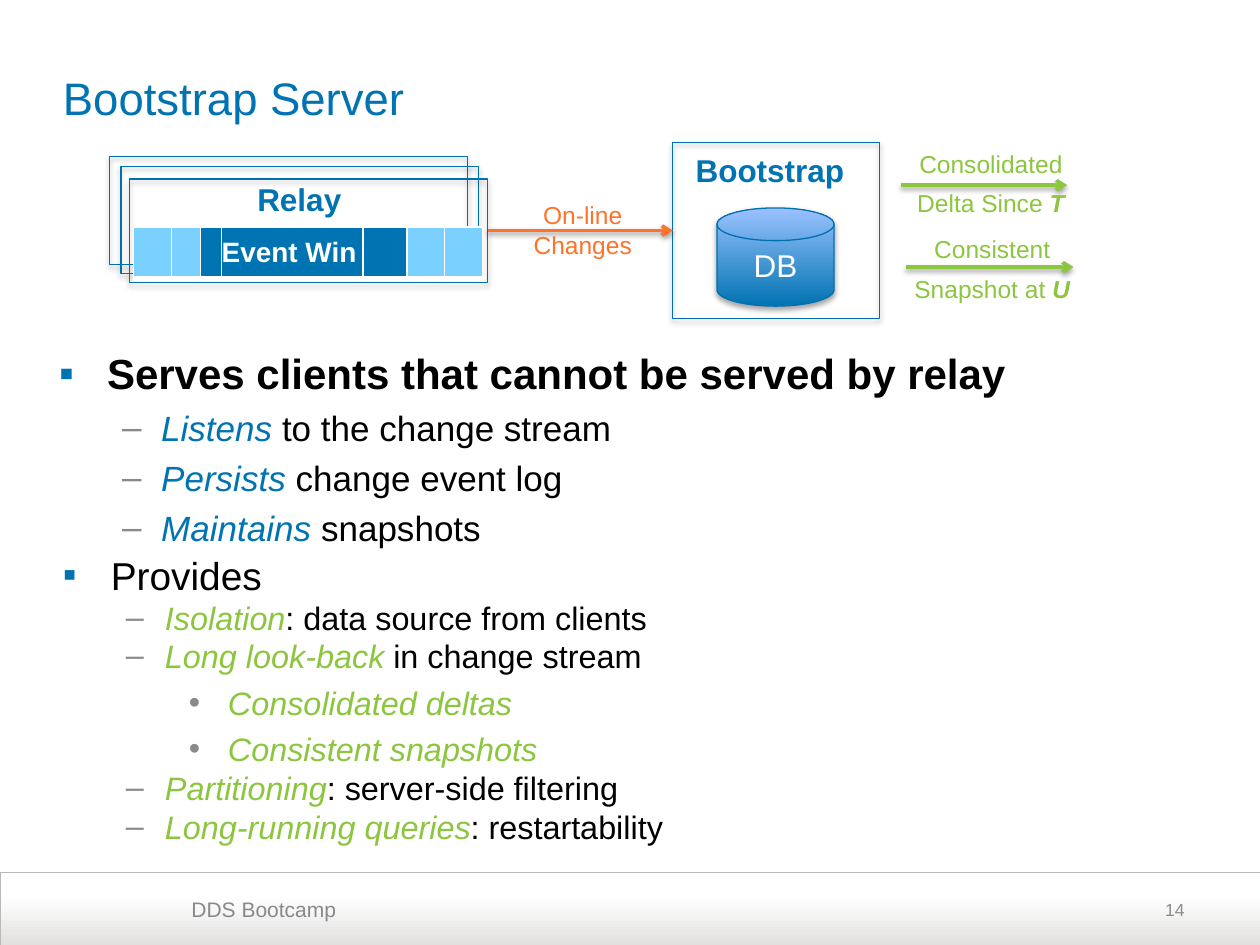
import pptx
import pptx.dml.color
import pptx.enum.shapes
import pptx.enum.text
import pptx.oxml.ns
import pptx.util
from lxml import etree

Inches = pptx.util.Inches
Pt = pptx.util.Pt
Shapes = pptx.enum.shapes.MSO_SHAPE
Align = pptx.enum.text.PP_ALIGN
Anchor = pptx.enum.text.MSO_ANCHOR


class Theme:
    font = "Arial"
    blue, outline, sky, pale_blue = "0073B2", "0070AE", "7AD0FF", "9BC2FF"
    green, orange = "8CC63F", "FE7328"
    black, white = "000000", "FFFFFF"
    gray, number_gray, band_gray, band_line = "88898B", "8C8C8C", "E1E0DF", "B9B9B9"
    title, heading, label, cell, footer, number = 26, 18, 14, 16, 12, 10
    bullets = [("▪", blue, 0.38, 0.38), ("–", gray, 0.81, 0.31), ("•", gray, 1.31, 0.31)]
    space_before = 0.23


def rgb(value):
    return pptx.dml.color.RGBColor.from_string(value)


def add_xml(parent, tag, **attributes):
    return etree.SubElement(parent, pptx.oxml.ns.qn(tag), attributes)


class SlideBuilder:
    def __init__(self, slide, theme):
        self.slide = slide
        self.theme = theme

    def style_font(self, font, size=None, color=None, bold=None, italic=None):
        if size:
            font.size = Pt(size)
            font.name = self.theme.font
        if color:
            font.color.rgb = rgb(color)
        if bold is not None:
            font.bold = bold
        if italic is not None:
            font.italic = italic

    def shadow(self, shape, opacity, distance):
        properties = shape._element.spPr
        effects = properties.find(pptx.oxml.ns.qn("a:effectLst"))
        if effects is None:
            effects = add_xml(properties, "a:effectLst")
        outer = add_xml(effects, "a:outerShdw", blurRad=str(Pt(3.1)), dist=str(Pt(distance)),
                        dir="5400000", rotWithShape="0")
        color = add_xml(outer, "a:srgbClr", val=self.theme.black)
        add_xml(color, "a:alpha", val=str(opacity * 1000))

    def shape(self, kind, box, line, width, gradient=None, shadow=True):
        shape = self.slide.shapes.add_shape(kind, *map(Inches, box))
        shape.shadow.inherit = False
        if gradient:
            shape.fill.gradient()
            shape.fill.gradient_angle = 90
            for stop, (position, color) in zip(shape.fill.gradient_stops, gradient):
                stop.position = position
                stop.color.rgb = rgb(color)
        else:
            shape.fill.background()
        shape.line.color.rgb = rgb(line)
        shape.line.width = Pt(width)
        if shadow:
            self.shadow(shape, 35, 1.8)
        return shape

    def set_lines(self, frame, lines, size, color, align=Align.LEFT, bold=False, space_after=0):
        for index, line in enumerate(lines):
            paragraph = frame.paragraphs[0] if index == 0 else frame.add_paragraph()
            paragraph.alignment = align
            if index < len(lines) - 1:
                paragraph.space_after = Pt(space_after)
            self.style_font(paragraph.font, size, color, bold)
            plain, *emphasis = line if isinstance(line, tuple) else (line,)
            paragraph.add_run().text = plain
            for text in emphasis:
                run = paragraph.add_run()
                run.text = text
                self.style_font(run.font, bold=True, italic=True)

    def text_box(self, box, left=0.0, anchor=Anchor.TOP):
        frame = self.slide.shapes.add_textbox(*map(Inches, box)).text_frame
        frame.word_wrap = True
        frame.margin_left = Inches(left)
        frame.vertical_anchor = anchor
        return frame

    def text(self, box, lines, size, color, align=Align.LEFT, bold=False, space_after=0, **layout):
        self.set_lines(self.text_box(box, **layout), lines, size, color, align, bold, space_after)

    def bullet_list(self, box, items, sizes, emphasis_color, heading_bold=False, spacing=None):
        frame = self.text_box(box)
        for index, (level, emphasis, rest) in enumerate(items):
            paragraph = frame.paragraphs[0] if index == 0 else frame.add_paragraph()
            mark, mark_color, left, hanging = self.theme.bullets[level]
            size = sizes[min(level, 1)]
            paragraph.level = level
            if spacing and level < 2:
                paragraph.line_spacing = spacing
            if index:
                paragraph.space_before = Pt(round(size * self.theme.space_before, 1))
            properties = paragraph._p.get_or_add_pPr()
            properties.set("marL", str(Inches(left)))
            properties.set("indent", str(-Inches(hanging)))
            add_xml(add_xml(properties, "a:buClr"), "a:srgbClr", val=mark_color)
            add_xml(properties, "a:buFont", typeface=self.theme.font)
            add_xml(properties, "a:buChar", char=mark)
            color = self.theme.black if rest else emphasis_color
            self.style_font(paragraph.font, size, color, heading_bold and level == 0, not rest)
            if emphasis:
                run = paragraph.add_run()
                run.text = emphasis
                if rest:
                    self.style_font(run.font, color=emphasis_color, italic=True)
            if rest:
                paragraph.add_run().text = rest

    def arrow(self, start, end, color, source=None, target=None):
        connector = self.slide.shapes.add_connector(
            pptx.enum.shapes.MSO_CONNECTOR.STRAIGHT, *map(Inches, start + end))
        if source and target:
            connector.begin_connect(source, 3)
            connector.end_connect(target, 1)
        connector.line.color.rgb = rgb(color)
        connector.line.width = Pt(2)
        add_xml(connector.line._get_or_add_ln(), "a:tailEnd", type="arrow")
        self.shadow(connector, 38, 1.6)

    def event_table(self, box, columns):
        table = self.slide.shapes.add_table(1, len(columns), *map(Inches, box)).table
        table.first_row = table.horz_banding = False
        table.rows[0].height = Inches(box[3])
        for index, (width, fill, label) in enumerate(columns):
            table.columns[index].width = Inches(width)
            cell = table.cell(0, index)
            cell.margin_left = cell.margin_right = cell.margin_top = cell.margin_bottom = 0
            cell.vertical_anchor = Anchor.MIDDLE
            for side, weight in (("L", 1), ("R", 1), ("T", 1), ("B", 3)):
                border = add_xml(cell._tc.get_or_add_tcPr(), f"a:ln{side}", w=str(Pt(weight)))
                add_xml(add_xml(border, "a:solidFill"), "a:srgbClr", val=self.theme.white)
            cell.fill.solid()
            cell.fill.fore_color.rgb = rgb(fill)
            if label:
                self.set_lines(cell.text_frame, [label], self.theme.cell, self.theme.white, bold=True)


def main():
    presentation = pptx.Presentation()
    presentation.slide_width, presentation.slide_height = Inches(10), Inches(7.5)
    theme = Theme()
    builder = SlideBuilder(presentation.slides.add_slide(presentation.slide_layouts[6]), theme)

    band = builder.shape(Shapes.ROUND_2_SAME_RECTANGLE, (0, 6.92, 10, 0.59), theme.band_line, 0.25,
                         [(0, theme.band_gray), (0.68, theme.white)], shadow=False)
    band.adjustments[0] = 0
    builder.text((1.52, 7.07, 3.1, 0.34), ["DDS Bootcamp"], theme.footer, theme.gray)
    builder.text((7.17, 7.02, 2.33, 0.4), ["14"], theme.number, theme.number_gray, Align.RIGHT,
                 anchor=Anchor.MIDDLE)
    builder.text((0.5, 0.22, 9, 1.1), ["Bootstrap Server"], theme.title, theme.blue,
                 anchor=Anchor.MIDDLE)

    for left, top, height in ((0.87, 1.24, 0.86), (0.96, 1.32, 0.85), (1.03, 1.42, 0.82)):
        relay = builder.shape(Shapes.RECTANGLE, (left, top, 2.84, height), theme.outline, 0.75)
    builder.text((1.01, 1.38, 2.83, 0.37), ["Relay"], theme.heading, theme.blue, Align.CENTER, True)
    builder.event_table((1.06, 1.8, 2.77, 0.41), [
        (0.3, theme.sky, ""), (0.23, theme.sky, ""), (0.17, theme.blue, ""),
        (1.12, theme.blue, "Event Win"), (0.35, theme.blue, ""),
        (0.3, theme.sky, ""), (0.3, theme.sky, "")])

    bootstrap = builder.shape(Shapes.RECTANGLE, (5.34, 1.13, 1.64, 1.4), theme.outline, 0.75)
    database = builder.shape(Shapes.FLOWCHART_MAGNETIC_DISK, (5.69, 1.65, 0.93, 0.78),
                             theme.outline, 0.75, [(0, theme.blue), (1, theme.pale_blue)])
    builder.set_lines(database.text_frame, ["DB"], theme.heading, theme.white, Align.CENTER)
    builder.text((5.35, 1.15, 1.62, 0.49), ["Bootstrap"], theme.heading, theme.blue,
                 Align.CENTER, True)

    builder.arrow((3.87, 1.83), (5.34, 1.83), theme.orange, relay, bootstrap)
    builder.text((4.1, 1.54, 1.05, 0.57), ["On-line", "Changes"], theme.label, theme.orange,
                 Align.CENTER, left=0.1)
    outputs = [
        ((7.15, 1.47), (8.47, 1.47), (6.98, 1.13, 1.77, 0.66), "Consolidated", ("Delta Since ", "T")),
        ((7.19, 2.12), (8.52, 2.12), (7.02, 1.81, 1.71, 0.66), "Consistent", ("Snapshot at ", "U"))]
    for start, end, box, above, below in outputs:
        builder.arrow(start, end, theme.green)
        builder.text(box, [above, below], theme.label, theme.green, Align.CENTER,
                     space_after=6, left=0.1)

    builder.bullet_list((0.47, 2.71, 9, 1.74), [
        (0, "", "Serves clients that cannot be served by relay"),
        (1, "Listens", " to the change stream"),
        (1, "Persists", " change event log"),
        (1, "Maintains", " snapshots")], (24, 20), theme.blue, heading_bold=True)
    builder.bullet_list((0.5, 4.4, 9, 2.49), [
        (0, "", "Provides"),
        (1, "Isolation", ": data source from clients"),
        (1, "Long look-back", " in change stream"),
        (2, "Consolidated deltas", ""),
        (2, "Consistent snapshots", ""),
        (1, "Partitioning", ": server-side filtering"),
        (1, "Long-running queries", ": restartability")], (22.2, 18.5), theme.green, spacing=0.8)

    presentation.save("out.pptx")


if __name__ == "__main__":
    main()
